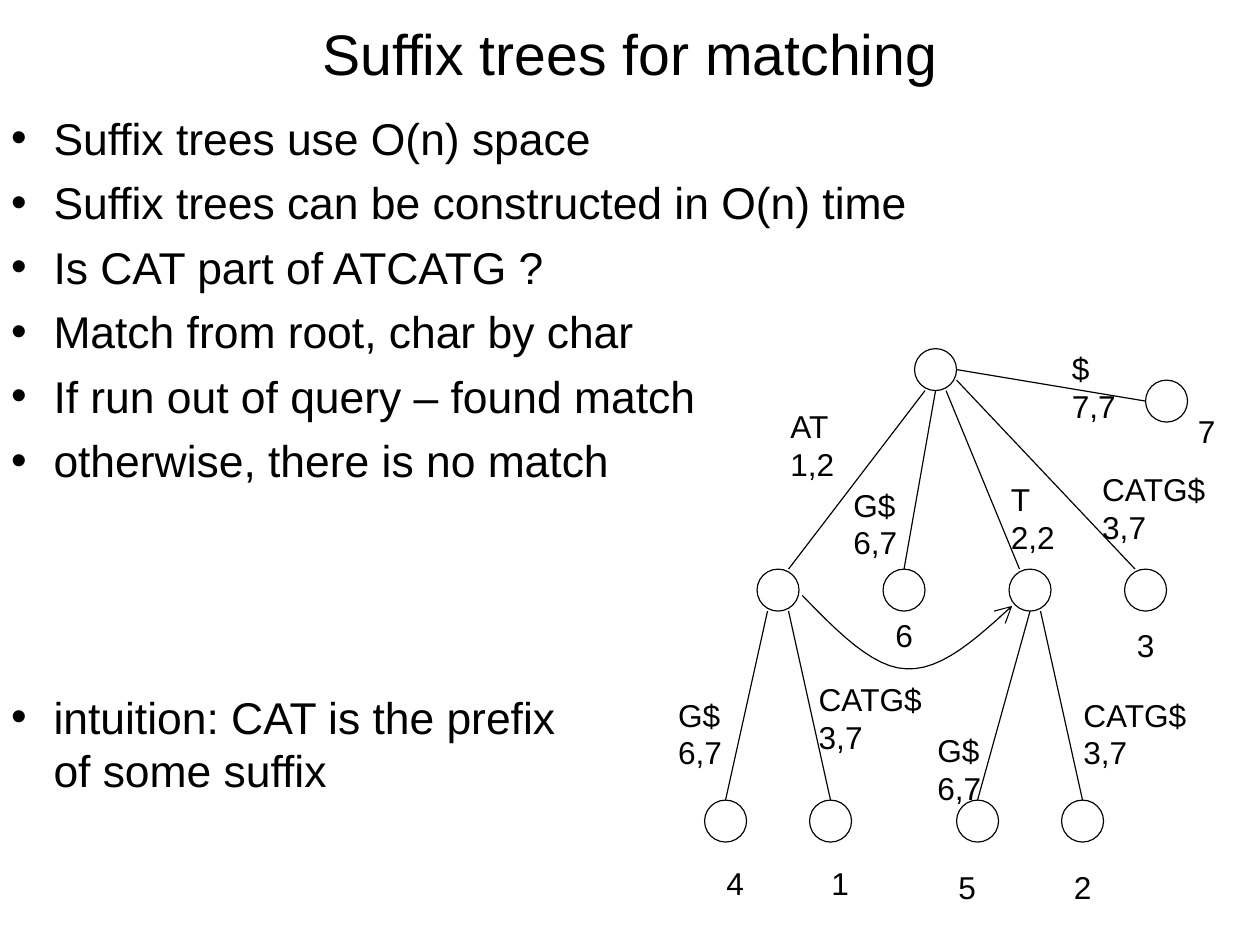
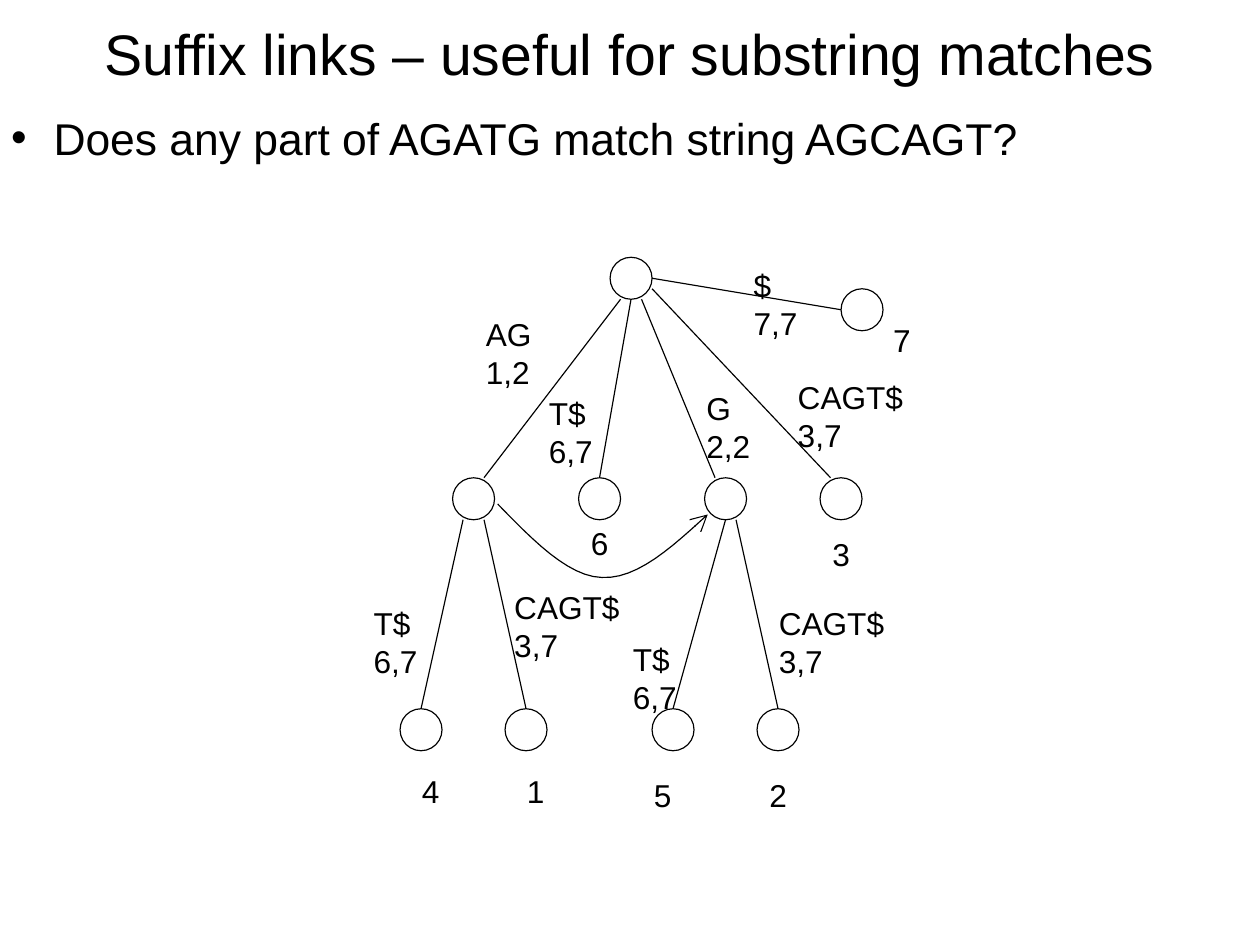
from lxml.etree import SubElement
from pptx import Presentation
from pptx.dml.color import RGBColor
from pptx.enum.shapes import MSO_CONNECTOR, MSO_SHAPE
from pptx.enum.text import MSO_ANCHOR, PP_ALIGN
from pptx.oxml.ns import qn
from pptx.util import Cm, Inches, Pt

WIDE, HIGH = Cm(28), Cm(21)
COLS, ROWS = 120, 90
NODE = 4  # circle size in grid units


def color(code):
    return RGBColor.from_string(code)


def curve(points, steps=12):
    """Points along a chain of cubic curves."""
    track = [points[0]]
    for i in range(0, len(points) - 1, 3):
        for k in range(1, steps + 1):
            t = k / steps
            parts = ((1 - t) ** 3, 3 * t * (1 - t) ** 2, 3 * t * t * (1 - t), t ** 3)
            track.append(tuple(sum(w * p[axis] for w, p in zip(parts, points[i:i + 4]))
                               for axis in (0, 1)))
    return track


class Deck:
    FONT = "Arial"
    INK = "000000"
    TITLE, BODY, LABEL = 36, 28, 19.9
    LINE = 0.75
    HANG = 0.37

    def __init__(self):
        self.show = Presentation()
        self.show.slide_width, self.show.slide_height = WIDE, HIGH
        self.slide = None
        self.left = self.top = 0

    # Grid
    def x(self, col):
        return round(WIDE * (self.left + col) / COLS)

    def y(self, row):
        return round(HIGH * (self.top + row) / ROWS)

    def span(self, cols, rows):
        return round(WIDE * cols / COLS), round(HIGH * rows / ROWS)

    def move(self, col, row):
        self.left, self.top = col, row

    # Text
    def run(self, para, text, size):
        run = para.add_run()
        run.text = text
        run.font.name, run.font.size = self.FONT, Pt(size)
        run.font.color.rgb = color(self.INK)

    def box(self, col, row, cols, rows):
        box = self.slide.shapes.add_textbox(self.x(col), self.y(row), *self.span(cols, rows))
        box.text_frame.word_wrap = True
        return box.text_frame

    def page(self, title):
        self.slide = self.show.slides.add_slide(self.show.slide_layouts[6])
        self.move(0, 0)
        frame = self.box(0, 0.8, COLS, 8.4)
        frame.vertical_anchor = MSO_ANCHOR.MIDDLE
        para = frame.paragraphs[0]
        para.alignment = PP_ALIGN.CENTER
        self.run(para, title, self.TITLE)

    def list(self, items):
        """Each item is its lines and the space above it."""
        frame = self.box(0, 10, COLS, 80)
        for i, (lines, gap) in enumerate(items):
            para = frame.add_paragraph() if i else frame.paragraphs[0]
            para.space_before = Pt(gap)
            for k, line in enumerate(lines):
                if k:
                    para.add_line_break()
                self.run(para, line, self.BODY)
            props = para._p.get_or_add_pPr()
            props.set("marL", str(Inches(self.HANG)))
            props.set("indent", str(-Inches(self.HANG)))
            SubElement(props, qn("a:buFont")).set("typeface", self.FONT)
            SubElement(props, qn("a:buChar")).set("char", "•")

    def label(self, col, row, *lines):
        size = max(len(line) for line in lines)
        cols = 12.8 if size > 3 else 7 if size > 1 else 4
        frame = self.box(col, row, cols, 7.8 if len(lines) > 1 else 4.5)
        for i, line in enumerate(lines):
            para = frame.add_paragraph() if i else frame.paragraphs[0]
            self.run(para, line, self.LABEL)

    # Drawing
    def stroke(self, shape):
        shape.line.color.rgb = color(self.INK)
        shape.line.width = Pt(self.LINE)

    def node(self, col, row):
        dot = self.slide.shapes.add_shape(MSO_SHAPE.OVAL, self.x(col), self.y(row),
                                          *self.span(NODE, NODE))
        dot.shadow.inherit = False
        dot.fill.background()
        self.stroke(dot)
        return dot

    def edge(self, start, end, child=None):
        line = self.slide.shapes.add_connector(
            MSO_CONNECTOR.STRAIGHT, self.x(start[0]), self.y(start[1]),
            self.x(end[0]), self.y(end[1]))
        self.stroke(line)
        SubElement(line._element.spPr, qn("a:effectLst"))
        if child is not None:
            line.end_connect(child, 0)

    def arc(self, points):
        track = [(self.x(c), self.y(r)) for c, r in curve(points)]
        pen = self.slide.shapes.build_freeform(*track[0])
        pen.add_line_segments(track[1:], close=False)
        arc = pen.convert_to_shape()
        arc.shadow.inherit = False
        arc.fill.background()
        self.stroke(arc)
        head = SubElement(arc.line._get_or_add_ln(), qn("a:tailEnd"))
        for key, value in (("type", "arrow"), ("w", "lg"), ("len", "lg")):
            head.set(key, value)


# Tree layout, in grid units from the root's corner
MID, LOW = 21, 43
NODES = {"root": (0, 0), "pair": (-15, MID), "6": (-3, MID), "one": (9, MID),
         "3": (20, MID), "4": (-20, LOW), "1": (-10, LOW), "5": (4, LOW),
         "2": (14, LOW), "7": (22, 3)}
# Parent, exit point on it, child, entry point on it
EDGES = [("root", (1, 4), "pair", (3, 0)), ("root", (2, 4), "6", (2, 0)),
         ("root", (3, 4), "one", (1, 0)), ("root", (4, 3), "3", (1, 0)),
         ("root", (4, 2), "7", (0, 2)), ("pair", (1, 4), "4", (2, 0)),
         ("pair", (3, 4), "1", (2, 0)), ("one", (2, 4), "5", (2, 0)),
         ("one", (3, 4), "2", (2, 0))]
LEAVES = {"4": (-19, 48.5), "1": (-9, 48.5), "6": (-2.9, 24.9), "5": (3.1, 48.9),
          "2": (14.1, 48.9), "3": (20.1, 25.9), "7": (25.9, 5.5)}
# Label place, which part of the string, its range
TAGS = [(-12.9, 5, "pair", "1,2"), (-6.9, 12.5, "last", "6,7"), (8.1, 12, "one", "2,2"),
        (16.8, 11, "rest", "3,7"), (-23.6, 32.5, "last", "6,7"), (-10.2, 31, "rest", "3,7"),
        (1.1, 35.9, "last", "6,7"), (15, 32.5, "rest", "3,7")]
LINK = [(-10.7, 23.5), (-7.4, 26.9), (-4, 30.4), (-0.8, 30.5),
        (2.6, 30.7), (6, 27.5), (9.3, 24.5)]


def tree(deck, col, row, word, stop):
    """Suffix tree of a six-letter word; stop is the place of the $ label."""
    text = word + "$"
    parts = {"pair": text[:2], "one": text[1], "rest": text[2:], "last": text[5:]}
    deck.move(col, row)
    dots = {name: deck.node(*spot) for name, spot in NODES.items()}
    for up, out, down, into in EDGES:
        start, end = [tuple(a + b for a, b in zip(NODES[name], by))
                      for name, by in ((up, out), (down, into))]
        deck.edge(start, end, dots[down] if into == (NODE / 2, 0) else None)
    for c, r, part, span in TAGS:
        deck.label(c, r, parts[part], span)
    deck.label(*stop, "$", "7,7")
    for name, spot in LEAVES.items():
        deck.label(*spot, name)
    deck.arc(LINK)


def main():
    deck = Deck()
    gap = 7

    # Matching
    deck.page("Suffix trees for matching")
    points = ["Suffix trees use O(n) space", "Suffix trees can be constructed in O(n) time",
              "Is CAT part of ATCATG ?", "Match from root, char by char",
              "If run out of query – found match", "otherwise, there is no match"]
    deck.list([([point], gap) for point in points]
              + [(["intuition: CAT is the prefix", "of some suffix"], 128)])
    tree(deck, 87.1, 33.2, "ATCATG", (13.9, -0.5))

    # Suffix links
    deck.page("Suffix links – useful for substring matches")
    deck.list([(["Does any part of AGATG match string AGCAGT?"], gap)])
    tree(deck, 58.1, 24.5, "AGCAGT", (12.6, 0.3))

    deck.show.save("out.pptx")


if __name__ == "__main__":
    main()
